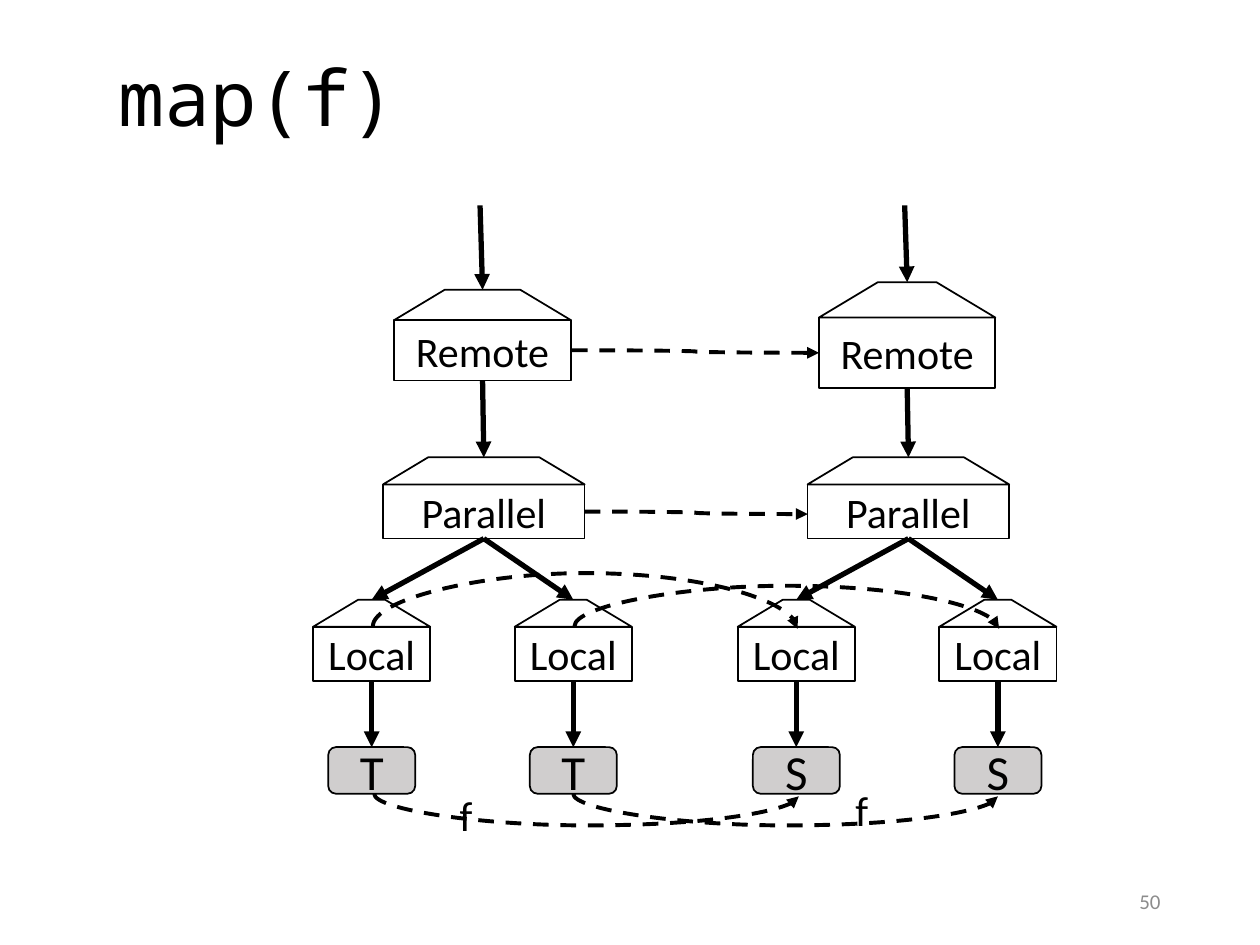
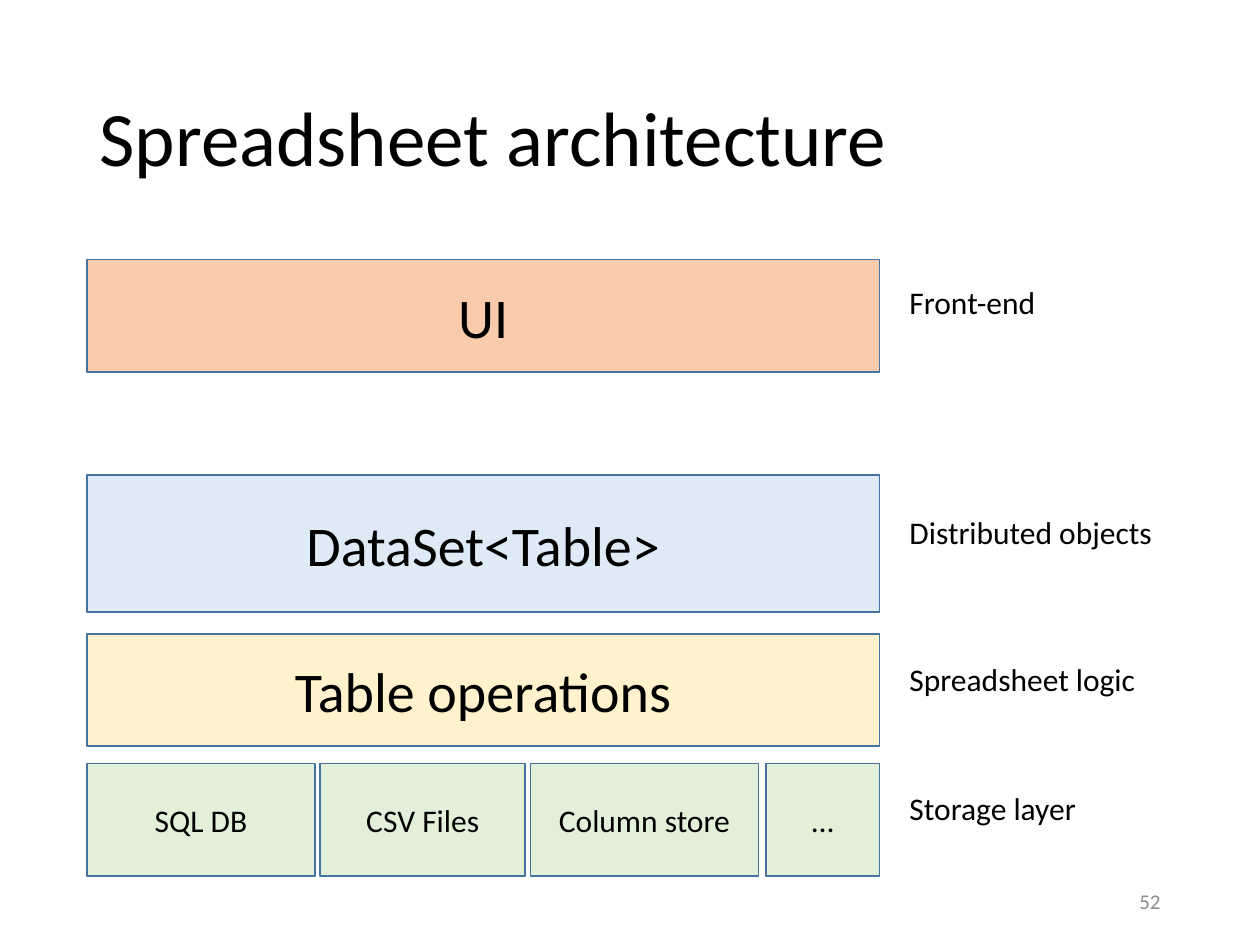
from lxml import etree
from pptx import Presentation
from pptx.dml.color import RGBColor
from pptx.enum.dml import MSO_LINE
from pptx.enum.shapes import MSO_CONNECTOR, MSO_SHAPE
from pptx.enum.text import MSO_ANCHOR, MSO_AUTO_SIZE, PP_ALIGN
from pptx.oxml.ns import qn
from pptx.util import Inches, Pt

RECT, ROUND = MSO_SHAPE.RECTANGLE, MSO_SHAPE.ROUNDED_RECTANGLE
ROOF = MSO_SHAPE.TRAPEZOID
LINE, CURVE = MSO_CONNECTOR.STRAIGHT, MSO_CONNECTOR.CURVE
LEFT, MID, RIGHT = PP_ALIGN.LEFT, PP_ALIGN.CENTER, PP_ALIGN.RIGHT

BLACK, GREY, LEAF, EDGE = "000000", "8C8C8C", "D0CECE", "43739E"
FONT, MONO = "Calibri", "Noto Sans Mono"

# Trees: shift, top and roof height of the remote node, leaf text
TREES = [(0, 2.3, 0.24, "T"), (3.37, 2.24, 0.28, "S")]
ROOT_X, PAR_X, LOCAL_X = 3.83, 3.84, (2.95, 4.55)
START_Y, PAR_Y, LOCAL_Y, LEAF_Y = 1.63, 3.63, 4.76, 5.93
LOW_ROOF = 0.215
LEAF_W, LEAF_H = 0.69, 0.37
# Arcs between the trees: left end x, y, sag (negative bends upward)
ARCS = [(2.97, 6.3, 0.25), (4.56, 4.97, -0.32),
        (2.96, 4.97, -0.42), (4.55, 6.3, 0.25)]
MARKS = [(6.69, 6.18), (3.55, 6.22)]

# Layers: text, side label, top, height, label top, fill
LAYERS = [
    ("UI", "Front-end", 2.06, 0.89, 2.2, "F8CBAD"),
    ("DataSet<Table>", "Distributed objects", 3.77, 1.09, 4.02, "DEEBF7"),
    ("Table operations", "Spreadsheet logic", 5.03, 0.89, 5.19, "FFF2CC"),
]
LAYER_X, LAYER_W, LABEL_X = 0.69, 6.29, 7.12
STORES = [("SQL DB", 0.69, 1.81), ("CSV Files", 2.54, 1.63),
          ("Column store", 4.21, 1.81), ("…", 6.08, 0.9)]
STORE_Y, STORE_H, STORE_FILL = 6.06, 0.89, "E2F0D9"


def rgb(code):
    return RGBColor.from_string(code)


def write(shape, text, size, align=MID, color=BLACK, font=FONT,
          anchor=MSO_ANCHOR.MIDDLE, wrap=True):
    frame = shape.text_frame
    frame.text = text
    frame.word_wrap = wrap
    frame.auto_size = MSO_AUTO_SIZE.NONE
    frame.vertical_anchor = anchor
    par = frame.paragraphs[0]
    par.alignment = align
    face = par.runs[0].font
    face.name, face.size, face.color.rgb = font, Pt(size), rgb(color)
    return par


def label(slide, text, size, x, y, w, h, **style):
    box = slide.shapes.add_textbox(*map(Inches, (x, y, w, h)))
    write(box, text, size, **style)


def block(shapes, kind, x, y, w, h, fill=None, edge=BLACK):
    shape = shapes.add_shape(kind, *map(Inches, (x, y, w, h)))
    shape.shadow.inherit = False
    if fill:
        shape.fill.solid()
        shape.fill.fore_color.rgb = rgb(fill)
    else:
        shape.fill.background()
    shape.line.color.rgb = rgb(edge)
    shape.line.width = Pt(1)
    return shape


def house(slide, text, x, y, w, roof):
    """Draw a node centred on x: a roof over a body twice as high."""
    parts = slide.shapes.add_group_shape().shapes
    top = block(parts, ROOF, x - w / 2, y, w, roof)
    top.adjustments[0] = 1.667
    body = block(parts, RECT, x - w / 2, y + roof, w, 2 * roof)
    write(body, text, 24, wrap=False)


def arrow(slide, x1, y1, x2, y2, kind=LINE, dash=False):
    link = slide.shapes.add_connector(kind, *map(Inches, (x1, y1, x2, y2)))
    link.line.color.rgb = rgb(BLACK)
    link.line.width = Pt(2.25 if dash else 3)
    if dash:
        link.line.dash_style = MSO_LINE.DASH
    props = link._element.spPr
    etree.SubElement(props.find(qn("a:ln")), qn("a:tailEnd"), type="triangle")
    etree.SubElement(props, qn("a:effectLst"))
    return link


def arc(slide, x, y, span, sag):
    """Draw a U-shaped dashed arrow as a curve turned by 270 degrees."""
    drop = 0.02
    mid_x, mid_y = x + span / 2, y + drop / 2
    link = arrow(slide, mid_x - drop / 2, mid_y - span / 2,
                 mid_x + drop / 2, mid_y + span / 2, CURVE, True)
    props = link._element.spPr
    frame = props.find(qn("a:xfrm"))
    frame.set("rot", str(270 * 60000))
    frame.set("flipH", "1")
    geom = props.find(qn("a:prstGeom"))
    guides = geom.find(qn("a:avLst"))
    if guides is None:
        guides = etree.SubElement(geom, qn("a:avLst"))
    etree.SubElement(guides, qn("a:gd"), name="adj1",
                     fmla=f"val {round(sag / drop * 100000)}")


def page(deck, title, number, area, font=FONT):
    slide = deck.slides.add_slide(deck.slide_layouts[5])
    head = slide.shapes.title
    head.left, head.top, head.width, head.height = map(Inches, area)
    write(head, title, 44, LEFT, font=font).line_spacing = 0.9
    label(slide, number, 12, 7.06, 6.95, 2.25, 0.4, align=RIGHT, color=GREY)
    return slide


def tree(slide, shift, top, roof, leaf):
    root, par = ROOT_X + shift, PAR_X + shift
    house(slide, "Remote", root, top, 1.4, roof)
    house(slide, "Parallel", par, PAR_Y, 1.6, LOW_ROOF)
    arrow(slide, root - 0.02, START_Y, root, top)
    arrow(slide, root, top + 3 * roof, par, PAR_Y)
    for x in LOCAL_X:
        x += shift
        house(slide, "Local", x, LOCAL_Y, 0.93, LOW_ROOF)
        arrow(slide, par, PAR_Y + 3 * LOW_ROOF, x, LOCAL_Y)
        box = block(slide.shapes, ROUND, x - LEAF_W / 2, LEAF_Y,
                    LEAF_W, LEAF_H, LEAF)
        write(box, leaf, 28)
        arrow(slide, x, LOCAL_Y + 3 * LOW_ROOF, x, LEAF_Y)


def map_page(deck):
    slide = page(deck, "map(f)", "50", (0.84, 0.26, 3.83, 1.09), MONO)
    for spec_row in TREES:
        tree(slide, *spec_row)
    span = TREES[1][0]
    arrow(slide, 4.64, 4.06, 6.41, 4.08, CURVE, True)
    arrow(slide, 4.54, 2.78, 6.5, 2.8, CURVE, True)
    for x, y, sag in ARCS:
        arc(slide, x, y, span, sag)
    for x, y in MARKS:
        label(slide, "f", 24, x, y, 0.31, 0.5, align=LEFT,
              anchor=MSO_ANCHOR.TOP, wrap=False)


def layer_page(deck):
    slide = page(deck, "Spreadsheet architecture", "52",
                 (0.69, 0.4, 8.62, 1.45))
    notes = [("Storage layer", 6.21)]
    for text, note, y, h, note_y, fill in LAYERS:
        box = block(slide.shapes, RECT, LAYER_X, y, LAYER_W, h, fill, EDGE)
        write(box, text, 32)
        notes.append((note, note_y))
    for text, x, w in STORES:
        box = block(slide.shapes, RECT, x, STORE_Y, w, STORE_H,
                    STORE_FILL, EDGE)
        write(box, text, 18)
    for text, y in notes:
        label(slide, text, 18, LABEL_X, y, 2.3, 0.4, align=LEFT,
              anchor=MSO_ANCHOR.TOP)


def main():
    deck = Presentation()
    deck.slide_width, deck.slide_height = Inches(10), Inches(7.5)
    map_page(deck)
    layer_page(deck)
    deck.save("out.pptx")


if __name__ == "__main__":
    main()
